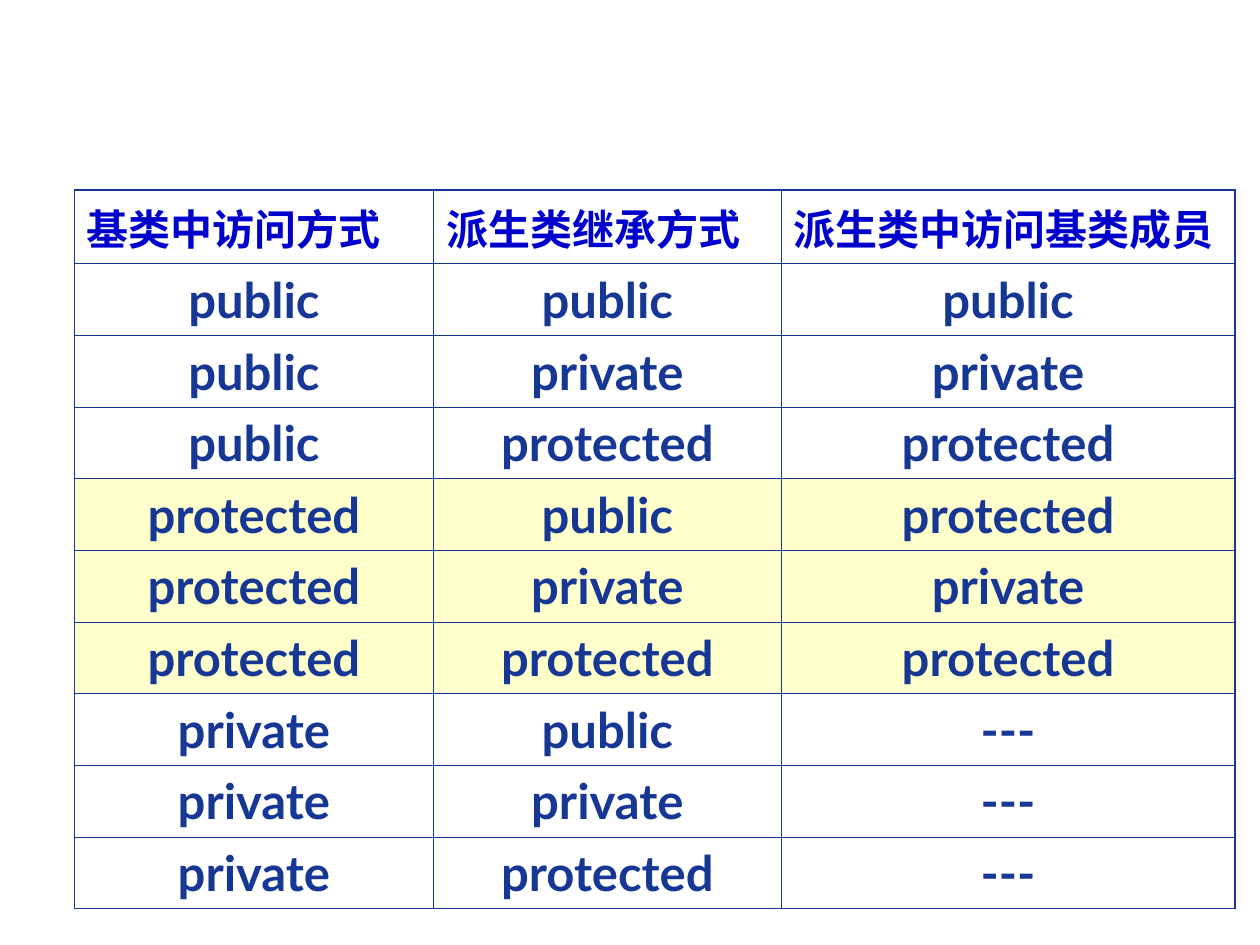
import pptx
import pptx.dml.color
import pptx.enum.text
import pptx.oxml.ns
import pptx.util
from lxml import etree

Inches = pptx.util.Inches
Align = pptx.enum.text.PP_ALIGN
COLORS = {"ink": "163794", "head": "0000CC", "white": "FFFFFF", "cream": "FFFFCC"}
THIN, THICK = 0.45, 1.08
HEADS = ["基类中访问方式", "派生类继承方式", "派生类中访问基类成员"]
MODES = ["public", "private", "protected"]
GROUPS = {
    "public": MODES,
    "protected": ["protected", "private", "protected"],
    "private": ["---"] * 3,
}


def rgb(name):
    """Return the named colour."""
    return pptx.dml.color.RGBColor.from_string(COLORS[name])


def write(frame, text, size=28, color="ink", align=Align.CENTER):
    """Put bold text into a frame."""
    para = frame.paragraphs[0]
    para.alignment = align
    run = para.add_run()
    run.text = text
    run.font.name = "Lato"
    run.font.size = pptx.util.Pt(size)
    run.font.bold = True
    run.font.color.rgb = rgb(color)


def edge(cell, side, width):
    """Draw one border of a cell."""
    qn = pptx.oxml.ns.qn
    line = etree.SubElement(cell._tc.get_or_add_tcPr(), qn(f"a:ln{side}"),
                            w=str(pptx.util.Pt(width)))
    fill = etree.SubElement(line, qn("a:solidFill"))
    etree.SubElement(fill, qn("a:srgbClr"), val=COLORS["ink"])


def paint(cell, name):
    """Fill a cell, or leave it clear when no colour is named."""
    if name:
        cell.fill.solid()
        cell.fill.fore_color.rgb = rgb(name)
    else:
        cell.fill.background()


def access(slide, left, top, width, height):
    """Place the table of access rules in the given box."""
    rows = [HEADS] + [[base, mode, result] for base, results in GROUPS.items()
                      for mode, result in zip(MODES, results)]
    last, end = len(rows) - 1, len(HEADS) - 1
    table = slide.shapes.add_table(last + 1, end + 1, left, top, width, height).table
    table.first_row = table.horz_banding = False
    shares = [2.85, 2.76, 3.6]
    for col, share in zip(table.columns, shares):
        col.width = int(width * share / sum(shares))
    first = Inches(0.53)
    for r, row in enumerate(rows):
        table.rows[r].height = first if r == 0 else int((height - first) / last)
        for c, text in enumerate(row):
            cell = table.cell(r, c)
            outer = {"L": c == 0, "R": c == end, "T": r == 0, "B": r == last}
            for side, thick in outer.items():
                edge(cell, side, THICK if thick else THIN)
            if r == 0:
                paint(cell, "white")
                write(cell.text_frame, text, size=24, color="head", align=Align.LEFT)
            else:
                paint(cell, "cream" if row[0] == "protected" else None)
                write(cell.text_frame, text)


def main():
    """Build and save the slide."""
    deck = pptx.Presentation()
    deck.slide_width, deck.slide_height = Inches(10), Inches(7.5)
    slide = deck.slides.add_slide(deck.slide_layouts[6])
    access(slide, Inches(0.59), Inches(1.51), Inches(9.21), Inches(5.65))
    deck.save("out.pptx")


if __name__ == "__main__":
    main()
